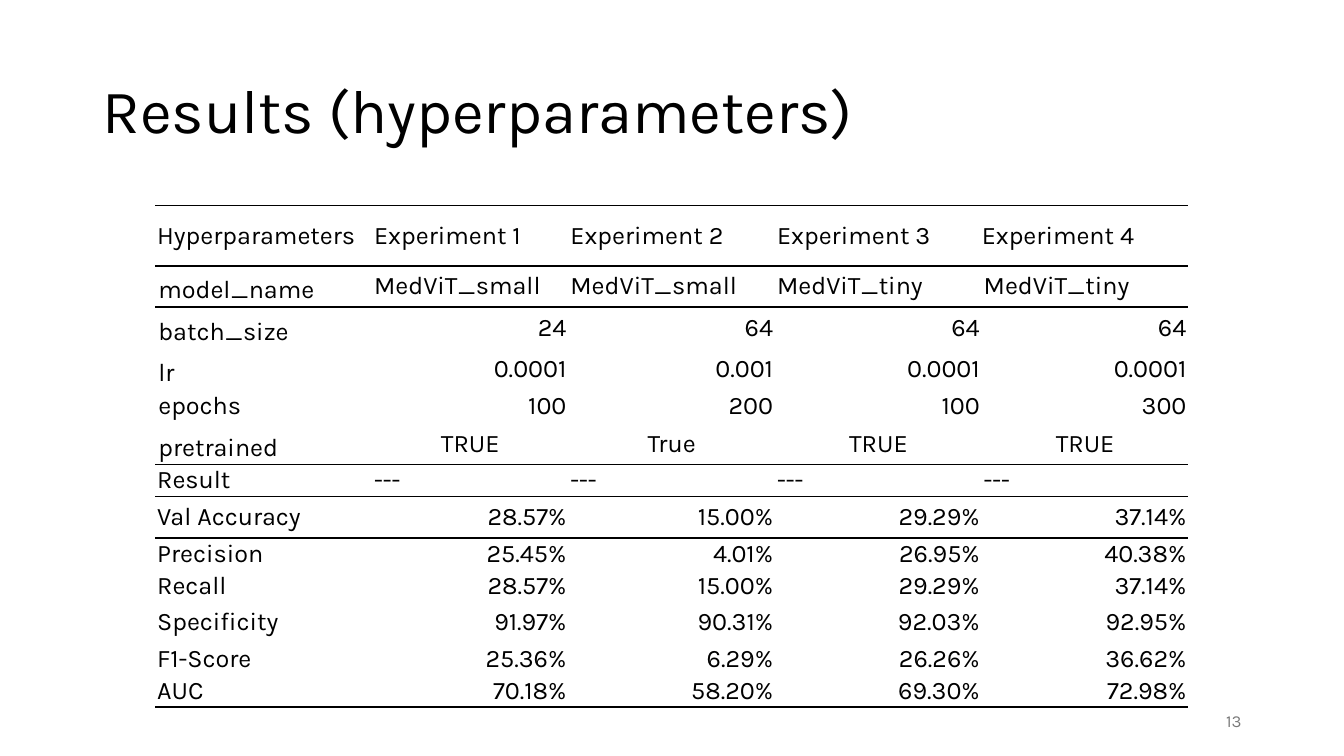
from dataclasses import dataclass

from lxml.etree import SubElement
from pptx import Presentation
from pptx.dml.color import RGBColor
from pptx.enum.text import MSO_ANCHOR as Anchor, MSO_AUTO_SIZE as AutoSize, PP_ALIGN as Align
from pptx.oxml.ns import qn
from pptx.util import Cm, Pt


@dataclass(frozen=True)
class Theme:
    font: str = "Karla"
    ink: str = "000000"
    muted: str = "797979"
    title_size: float = 44
    table_size: float = 18
    number_size: float = 12
    rule_width: float = 1.5


THEME = Theme()
NO_STYLE_NO_GRID = "{2D5ABB26-0587-4C30-8999-92F81FD0307C}"
LEFT, CENTER, RIGHT = Align.LEFT, Align.CENTER, Align.RIGHT

# Row height in cm, alignment of the experiment columns, cell texts
RESULT_ROWS = [
    (1.52, LEFT, ["Hyperparameters", "Experiment 1", "Experiment 2", "Experiment 3", "Experiment 4"]),
    (1.04, LEFT, ["model_name", "MedViT_small", "MedViT_small", "MedViT_tiny", "MedViT_tiny"]),
    (1.04, RIGHT, ["batch_size", "24", "64", "64", "64"]),
    (1.04, RIGHT, ["lr", "0.0001", "0.001", "0.0001", "0.0001"]),
    (0.84, RIGHT, ["epochs", "100", "200", "100", "300"]),
    (1.04, CENTER, ["pretrained", "TRUE", "True", "TRUE", "TRUE"]),
    (0.79, LEFT, ["Result", "---", "---", "---", "---"]),
    (1.04, RIGHT, ["Val Accuracy", "28.57%", "15.00%", "29.29%", "37.14%"]),
    (0.79, RIGHT, ["Precision", "25.45%", "4.01%", "26.95%", "40.38%"]),
    (0.79, RIGHT, ["Recall", "28.57%", "15.00%", "29.29%", "37.14%"]),
    (1.04, RIGHT, ["Specificity", "91.97%", "90.31%", "92.03%", "92.95%"]),
    (0.79, RIGHT, ["F1-Score", "25.36%", "6.29%", "26.26%", "36.62%"]),
    (0.79, RIGHT, ["AUC", "70.18%", "58.20%", "69.30%", "72.98%"]),
]
COLUMN_SHARES = [0.21, 0.19, 0.2, 0.2, 0.2]
HEADER_ROW = 0
HYPERPARAMETER_ROWS = range(1, 6)
RULED_ABOVE = {0, 1, 6, 7}
RULED_BELOW = {0, 5, 6, 12}


def write(text_frame, text, size, color, align=LEFT):
    text_frame.text = text
    paragraph = text_frame.paragraphs[0]
    paragraph.alignment = align
    font = paragraph.runs[0].font
    font.name, font.size = THEME.font, Pt(size)
    font.color.rgb = RGBColor.from_string(color)
    return paragraph


def add_title(slide, text, left, top, width, height):
    title = slide.shapes.title
    title.left, title.top, title.width, title.height = left, top, width, height
    title.text_frame.auto_size = AutoSize.NONE
    title.text_frame.vertical_anchor = Anchor.MIDDLE
    write(title.text_frame, text, THEME.title_size, THEME.ink).line_spacing = 0.9


def add_rule(cell, edge):
    """Draw a border on one edge of a cell; call before setting its fill."""
    line = SubElement(cell._tc.get_or_add_tcPr(), qn(f"a:{edge}"), w=str(Pt(THEME.rule_width)))
    fill = SubElement(line, qn("a:solidFill"))
    SubElement(fill, qn("a:srgbClr"), val=THEME.ink)


def set_margins(cell, horizontal, vertical):
    cell.margin_left = cell.margin_right = Cm(horizontal)
    cell.margin_top = cell.margin_bottom = Cm(vertical)


def format_cell(cell, row, column):
    is_parameter_name = column == 0 and row in HYPERPARAMETER_ROWS
    if is_parameter_name:
        set_margins(cell, 0.08, 0.05)
    elif row == HEADER_ROW and column == len(COLUMN_SHARES) - 1:
        set_margins(cell, 0, 0.03)
    else:
        set_margins(cell, 0.05, 0.03)
    cell.vertical_anchor = Anchor.BOTTOM if is_parameter_name else Anchor.MIDDLE
    if row in RULED_ABOVE:
        add_rule(cell, "lnT")
    if row in RULED_BELOW:
        add_rule(cell, "lnB")
    cell.fill.background()


def add_results_table(slide, left, top, width):
    height = Cm(sum(row_height for row_height, _, _ in RESULT_ROWS))
    frame = slide.shapes.add_table(len(RESULT_ROWS), len(COLUMN_SHARES), left, top, width, height)
    table = frame.table
    table.first_row = table.horz_banding = False
    table._tbl.tblPr.find(qn("a:tableStyleId")).text = NO_STYLE_NO_GRID
    for column, share in zip(table.columns, COLUMN_SHARES):
        column.width = int(width * share)
    for row, (row_height, value_align, texts) in enumerate(RESULT_ROWS):
        table.rows[row].height = Cm(row_height)
        for column, text in enumerate(texts):
            cell = table.cell(row, column)
            align = value_align if column else LEFT
            write(cell.text_frame, text, THEME.table_size, THEME.ink, align)
            format_cell(cell, row, column)


def add_slide_number(slide, number, left, top, width, height):
    text_frame = slide.shapes.add_textbox(left, top, width, height).text_frame
    text_frame.word_wrap = True
    text_frame.vertical_anchor = Anchor.MIDDLE
    write(text_frame, number, THEME.number_size, THEME.muted, RIGHT)


def main():
    presentation = Presentation()
    presentation.slide_width, presentation.slide_height = Cm(33.87), Cm(19.05)
    slide = presentation.slides.add_slide(presentation.slide_layouts[5])
    add_title(slide, "Results (hyperparameters)", Cm(2.33), Cm(1.02), Cm(29.21), Cm(3.68))
    add_results_table(slide, Cm(3.91), Cm(5.18), Cm(26.04))
    add_slide_number(slide, "13", Cm(23.92), Cm(17.66), Cm(7.62), Cm(1.01))
    presentation.save("out.pptx")


if __name__ == "__main__":
    main()
